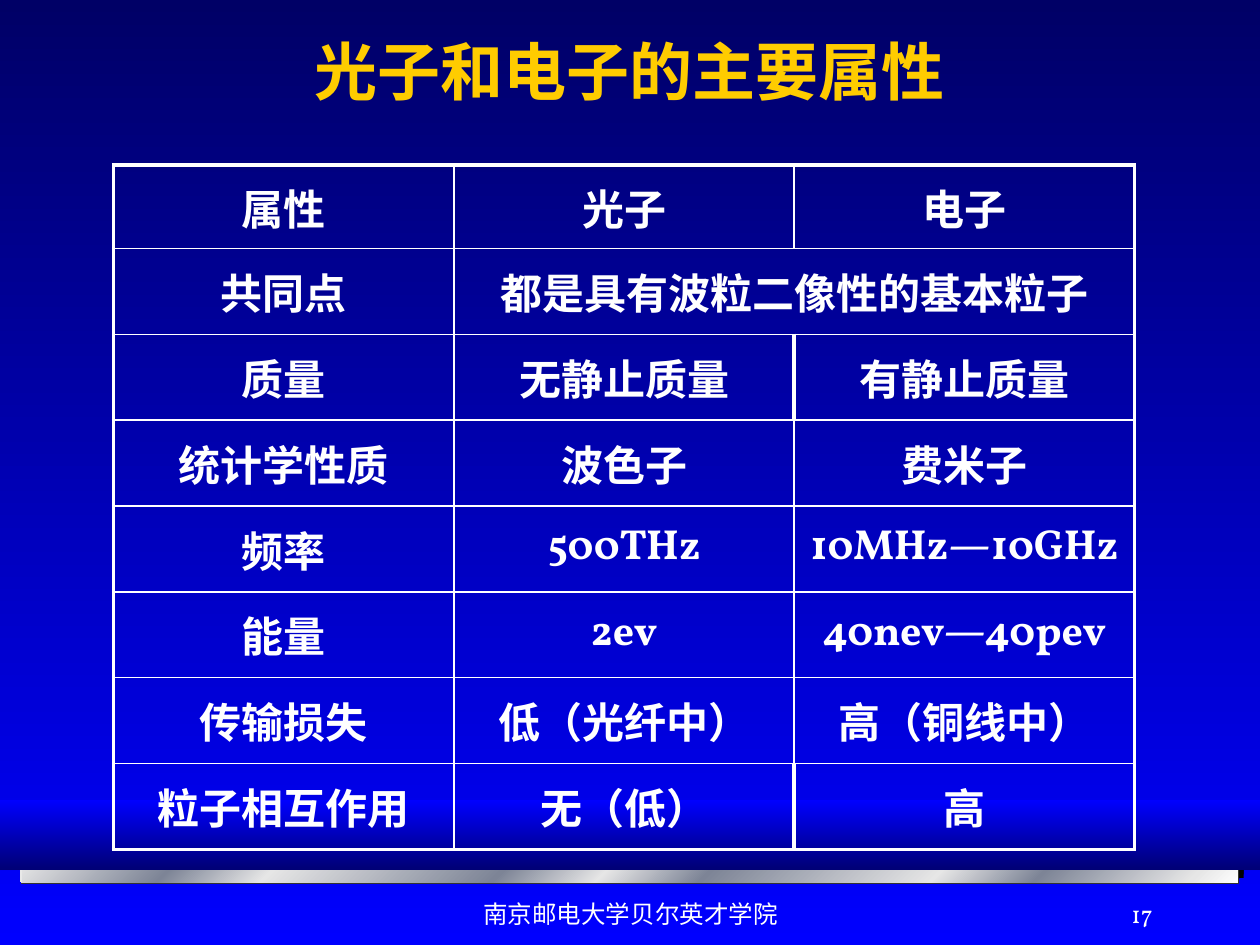
from copy import deepcopy
from dataclasses import dataclass

from lxml import etree
from pptx import Presentation
from pptx.dml.color import RGBColor
from pptx.enum.shapes import MSO_SHAPE
from pptx.enum.text import MSO_ANCHOR, PP_ALIGN
from pptx.oxml.ns import qn
from pptx.util import Cm, Pt

RECT = MSO_SHAPE.RECTANGLE
MIDDLE = MSO_ANCHOR.MIDDLE
CENTER, RIGHT = PP_ALIGN.CENTER, PP_ALIGN.RIGHT


@dataclass(frozen=True)
class Theme:
    font: str = "Vollkorn"
    white: str = "FFFFFF"
    gold: str = "FFCC00"
    navy: str = "000066"
    dusk: str = "000076"
    blue: str = "0000FF"
    black: str = "000000"
    light: str = "E6E6E6"
    steel: str = "7D8496"
    title: int = 36
    body: int = 24
    small: int = 14
    thin: float = 1
    thick: float = 2.25


THEME = Theme()

ROWS = [
    ("属性", "光子", "电子"),
    ("共同点", "都是具有波粒二像性的基本粒子", ""),
    ("质量", "无静止质量", "有静止质量"),
    ("统计学性质", "波色子", "费米子"),
    ("频率", "500THz", "10MHz—10GHz"),
    ("能量", "2ev", "40nev—40pev"),
    ("传输损失", "低（光纤中）", "高（铜线中）"),
    ("粒子相互作用", "无（低）", "高"),
]
SPAN_ROW = 1
HEAVY_ROWS = (2, 7)  # rows with a thick line between photon and electron

SHEEN = [
    (0, THEME.white), (4, THEME.light), (16, THEME.steel), (24, THEME.light),
    (42, THEME.steel), (50, THEME.light), (58, THEME.steel),
    (76, THEME.light), (84, THEME.steel), (96, THEME.light),
    (100, THEME.white),
]
BEVELS = [("FFFFFF", "676767"), ("FFFFFF", "474747"), ("E8E8E8", "333333")]


def style(frame, size, color, align, bold=False):
    frame.vertical_anchor = MIDDLE
    for para in frame.paragraphs:
        para.alignment = align
        for run in para.runs:
            font = run.font
            font.name, font.size, font.bold = THEME.font, Pt(size), bold
            font.color.rgb = RGBColor.from_string(color)


def blend(fill, root, stops, angle):
    """Fill with a gradient; angle runs clockwise, root holds the fill."""
    fill.gradient()
    fill.gradient_angle = 360 - angle
    marks = root.find(".//" + qn("a:gsLst"))
    for _ in stops[2:]:
        marks.append(deepcopy(marks[0]))
    for mark, (place, color) in zip(fill.gradient_stops, stops):
        mark.position = place / 100
        mark.color.rgb = RGBColor.from_string(color)


def add_band(slide, box, stops, angle):
    band = slide.shapes.add_shape(RECT, *map(Cm, box))
    blend(band.fill, band._element.spPr, stops, angle)
    band.line.fill.background()
    band.shadow.inherit = False
    return band


def cast(shape, color):
    """Add a hard shadow up and to the right."""
    effects = shape._element.spPr.find(qn("a:effectLst"))
    shade = etree.SubElement(effects, qn("a:outerShdw"), blurRad="0",
                             dist=str(Pt(4.2)), dir="18900000", algn="ctr",
                             rotWithShape="0")
    etree.SubElement(shade, qn("a:srgbClr"), val=color)


def add_edge(slide, points, color):
    first, *rest = [(Cm(x), Cm(y)) for x, y in points]
    path = slide.shapes.build_freeform(*first)
    path.add_line_segments(rest, close=False)
    edge = path.convert_to_shape()
    edge.fill.background()
    edge.line.color.rgb = RGBColor.from_string(color)
    edge.line.width = Pt(THEME.thin)
    edge.shadow.inherit = False


def add_bar(slide):
    """Draw the steel bar with its bevelled strips."""
    left, right, top, tall, step = 0.43, 24.97, 16.33, 0.43, 0.51
    bar = add_band(slide, (left, 16.36, 24.54, 1.45), SHEEN, 45)
    cast(bar, THEME.black)
    for i, (light, dark) in enumerate(BEVELS):
        y = top + i * step
        low = y + 0.03
        add_edge(slide, [(left, y + tall), (left, y), (right, y)], light)
        add_edge(slide, [(right, low), (right, low + tall),
                         (left, low + tall)], dark)


def add_note(slide, text, box, align):
    frame = slide.shapes.add_textbox(*map(Cm, box)).text_frame
    frame.word_wrap = False
    frame.text = text
    style(frame, THEME.small, THEME.white, align)


def set_title(slide, text):
    title = slide.shapes.title
    title.left, title.top, title.width, title.height = map(
        Cm, (0.84, 0.53, 23.7, 1.78))
    title.text_frame.text = text
    style(title.text_frame, THEME.title, THEME.gold, CENTER, True)


def rule(cell, heavy):
    """Draw the four borders of a cell; heavy names the thick sides."""
    props = cell._tc.get_or_add_tcPr()
    for side in "LRTB":
        width = THEME.thick if side in heavy else THEME.thin
        line = etree.SubElement(props, qn("a:ln" + side), w=str(Pt(width)))
        paint = etree.SubElement(line, qn("a:solidFill"))
        etree.SubElement(paint, qn("a:srgbClr"), val=THEME.white)


def sides(row, col):
    heavy = ""
    if col == 0 or (col == 2 and row in HEAVY_ROWS):
        heavy += "L"
    if col == 2 or (col == 1 and row in (SPAN_ROW, *HEAVY_ROWS)):
        heavy += "R"
    if row == 0:
        heavy += "T"
    if row == len(ROWS) - 1:
        heavy += "B"
    return heavy


def add_grid(slide):
    count = len(ROWS[0])
    grid = slide.shapes.add_table(len(ROWS), count, Cm(2.29), Cm(3.33),
                                  Cm(20.58), Cm(13.79)).table
    grid.first_row = grid.horz_banding = False
    for col in grid.columns:
        col.width = Cm(6.86)
    for r, texts in enumerate(ROWS):
        grid.rows[r].height = Cm(1.73 if r else 1.68)
        for c, text in enumerate(texts):
            cell = grid.cell(r, c)
            cell.text = text
            style(cell.text_frame, THEME.body, THEME.white, CENTER, True)
            cell.vertical_anchor = MIDDLE
            rule(cell, sides(r, c))
            cell.fill.background()
    grid.cell(SPAN_ROW, 1).merge(grid.cell(SPAN_ROW, 2))


def main():
    deck = Presentation()
    deck.slide_width, deck.slide_height = Cm(25.4), Cm(19.05)
    slide = deck.slides.add_slide(deck.slide_layouts[5])
    blend(slide.background.fill, slide._element,
          [(0, THEME.navy), (100, THEME.blue)], 90)
    add_bar(slide)
    add_band(slide, (0, 16.13, 25.4, 1.4),
             [(0, THEME.blue), (100, THEME.dusk)], 90)
    set_title(slide, "光子和电子的主要属性")
    add_grid(slide)
    add_note(slide, "南京邮电大学贝尔英才学院", (8.69, 17.78, 8.05, 1.27), CENTER)
    add_note(slide, "17", (18.21, 17.78, 5.28, 1.27), RIGHT)
    deck.save("out.pptx")


if __name__ == "__main__":
    main()
